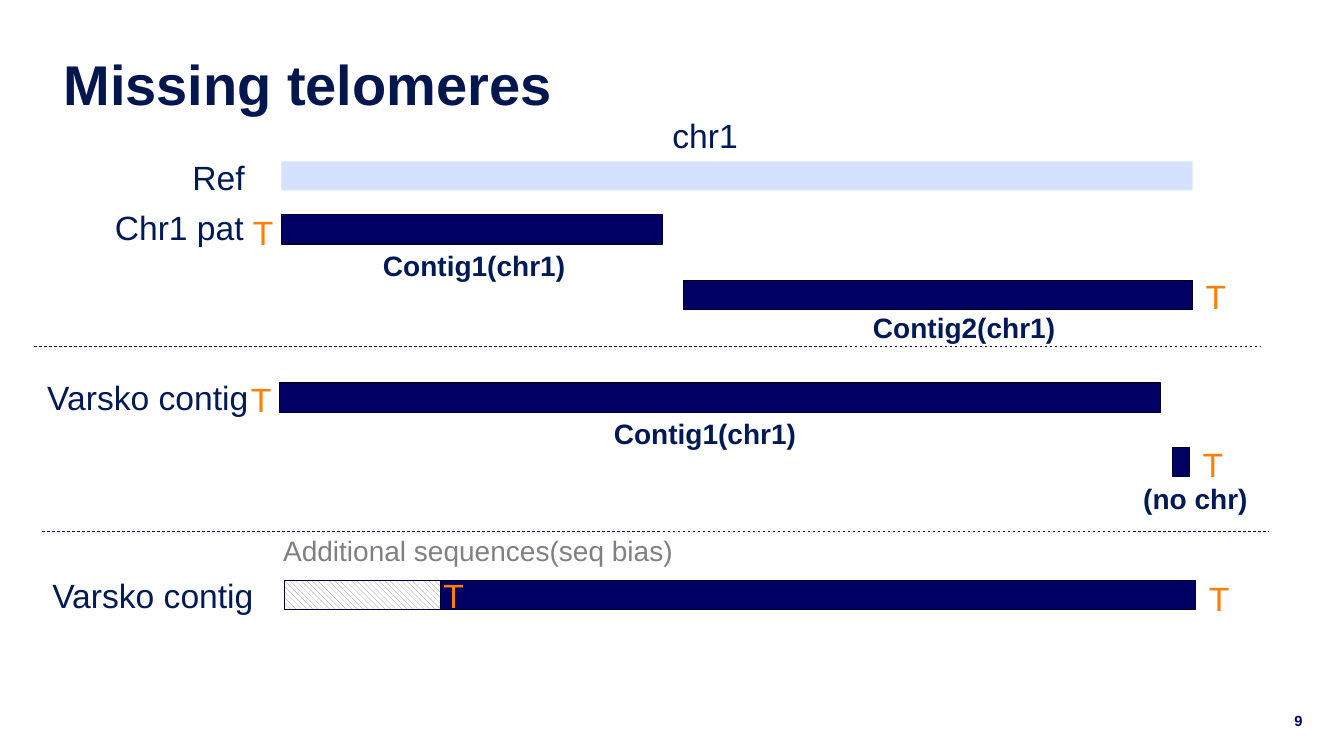
from dataclasses import dataclass

from lxml import etree
from pptx import Presentation
from pptx import util as u
from pptx.dml.color import RGBColor
from pptx.enum import dml, shapes, text
from pptx.oxml import ns

FONT = "Arial"
NAVY, EDGE, PALE = "000064", "00002C", "D5E1FF"
INK, TITLE, ORANGE, GREY, WHITE = "001A56", "04164E", "FE7F01", "808080", "FFFFFF"
BAR_HEIGHT = 0.29
DIVIDER_LENGTH = 12.17


@dataclass
class Bar:
    """A stretch of sequence."""
    left: float
    top: float
    width: float
    fill: str = NAVY
    edge: str | None = EDGE
    hatched: bool = False


@dataclass
class Label:
    text: str
    left: float
    top: float
    width: float
    height: float = 0.5
    size: float = 24
    color: str = INK
    bold: bool = False
    wrap: bool = False
    anchor: text.MSO_ANCHOR = text.MSO_ANCHOR.TOP
    inset: float = 0.1
    spacing: float = 1.0


def contig_name(name: str, left: float, top: float, width: float = 2.03) -> Label:
    return Label(name, left, top, width, 0.44, 20, bold=True)


def telomere(left: float, top: float) -> Label:
    return Label("T", left, top, 0.41, color=ORANGE)


BARS = [
    Bar(2.79, 1.6, 9.04, PALE, None),
    Bar(2.79, 2.13, 3.78),
    Bar(6.78, 2.78, 5.05),
    Bar(2.77, 3.8, 8.74),
    Bar(11.63, 4.44, 0.17),
    Bar(2.82, 5.76, 9.04),
    Bar(2.82, 5.76, 1.55, GREY, hatched=True),
]

LABELS = [
    Label("Missing telomeres", 0.63, 0.38, 12.07, 0.98, 40, TITLE, True, True,
          text.MSO_ANCHOR.MIDDLE, 0, 0.9),
    Label("9", 12.74, 6.95, 0.38, 0.4, 10.5, NAVY, True, True, text.MSO_ANCHOR.MIDDLE),
    Label("chr1", 6.57, 1.09, 0.86),
    Label("Ref", 1.81, 1.51, 0.73),
    Label("Chr1 pat", 1.04, 2, 1.49),
    Label("Varsko contig", 0.37, 3.69, 2.22),
    Label("Varsko contig", 0.42, 5.65, 2.22),
    Label("Additional sequences(seq bias)", 2.71, 5.24, 4.1, 0.44, 20, GREY),
    contig_name("Contig1(chr1)", 3.7, 2.42),
    contig_name("Contig2(chr1)", 8.56, 3.03),
    contig_name("Contig1(chr1)", 5.99, 4.08),
    contig_name("(no chr)", 11.24, 4.73, 1.25),
    telomere(2.41, 2.05),
    telomere(11.86, 2.69),
    telomere(2.39, 3.71),
    telomere(11.83, 4.35),
    telomere(4.3, 5.65),
    telomere(11.89, 5.68),
]

DIVIDERS = [(0.34, 3.44), (0.42, 5.27)]


def rgb(color: str) -> RGBColor:
    return RGBColor.from_string(color)


def add_bar(s, bar: Bar) -> None:
    sp = s.shapes.add_shape(shapes.MSO_SHAPE.RECTANGLE, u.Inches(bar.left),
                            u.Inches(bar.top), u.Inches(bar.width), u.Inches(BAR_HEIGHT))
    sp.shadow.inherit = False
    if bar.hatched:
        sp.fill.patterned()
        sp.fill.pattern = dml.MSO_PATTERN.WIDE_DOWNWARD_DIAGONAL
        sp.fill.fore_color.rgb = rgb(bar.fill)
        sp.fill.back_color.rgb = rgb(WHITE)
    else:
        sp.fill.solid()
        sp.fill.fore_color.rgb = rgb(bar.fill)
    if bar.edge:
        sp.line.color.rgb = rgb(bar.edge)
        sp.line.width = u.Pt(1)
    else:
        sp.line.fill.background()


def add_label(s, label: Label) -> None:
    sp = s.shapes.add_textbox(u.Inches(label.left), u.Inches(label.top),
                              u.Inches(label.width), u.Inches(label.height))
    tf = sp.text_frame
    tf.text = label.text
    tf.word_wrap = label.wrap
    tf.vertical_anchor = label.anchor
    tf.margin_left = u.Inches(label.inset)
    if not label.wrap:
        tf.auto_size = text.MSO_AUTO_SIZE.SHAPE_TO_FIT_TEXT
    p = tf.paragraphs[0]
    p.line_spacing = label.spacing
    font = p.runs[0].font
    font.name = FONT
    font.size = u.Pt(label.size)
    font.bold = label.bold
    font.color.rgb = rgb(label.color)


def add_divider(s, left: float, top: float) -> None:
    line = s.shapes.add_connector(shapes.MSO_CONNECTOR.STRAIGHT, u.Inches(left), u.Inches(top),
                                  u.Inches(left + DIVIDER_LENGTH), u.Inches(top))
    line.line.color.rgb = rgb(NAVY)
    line.line.width = u.Pt(0.5)
    line.line.dash_style = dml.MSO_LINE.DASH
    etree.SubElement(line._element.spPr, ns.qn("a:effectLst"))


def main() -> None:
    prs = Presentation()
    prs.slide_width, prs.slide_height = u.Inches(13.33), u.Inches(7.5)
    s = prs.slides.add_slide(prs.slide_layouts[6])
    for bar in BARS:
        add_bar(s, bar)
    for label in LABELS:
        add_label(s, label)
    for left, top in DIVIDERS:
        add_divider(s, left, top)
    prs.save("out.pptx")


if __name__ == "__main__":
    main()
